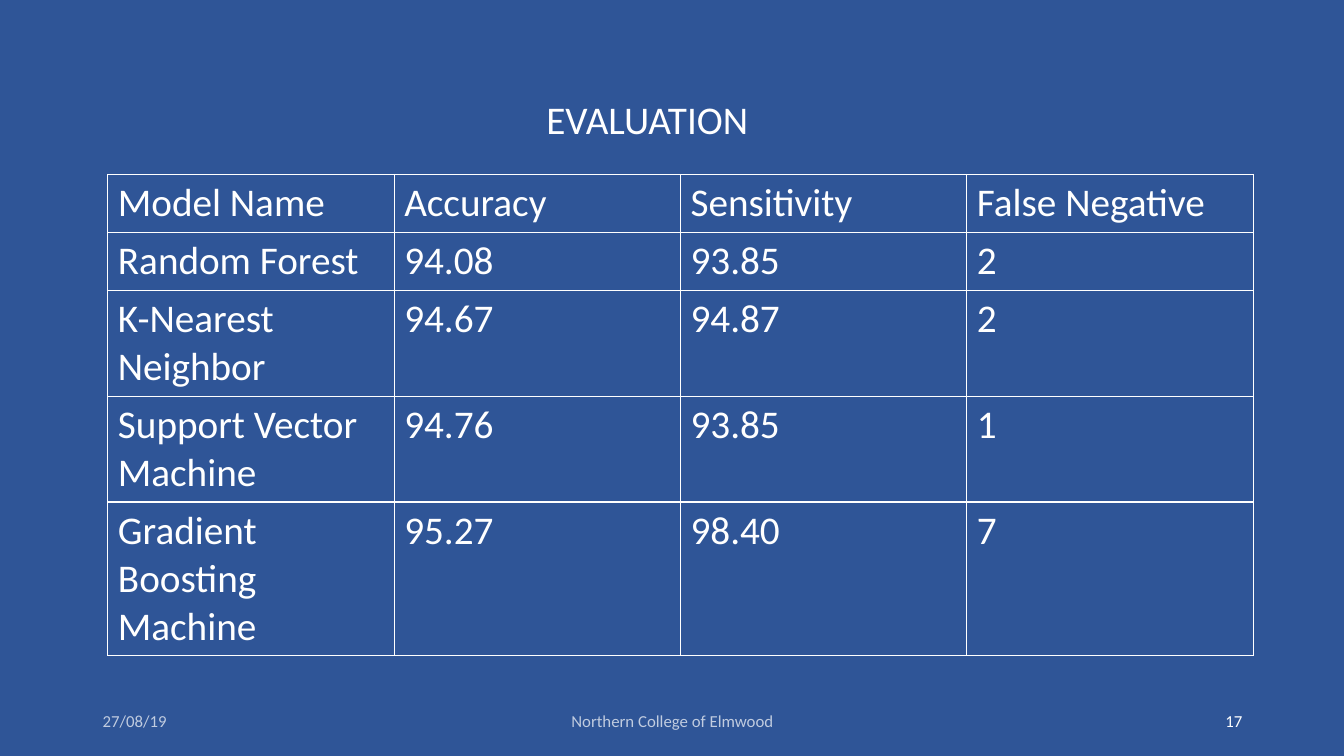
from lxml import etree
from pptx import Presentation
from pptx import util as u
from pptx.dml.color import RGBColor
from pptx.enum import text
from pptx.oxml import ns

WIDTH, HEIGHT = 13.33, 7.5
BLUE, WHITE = "2F5597", "FFFFFF"
FOOTER_TOP, FOOTER_HEIGHT = 6.95, 0.4
COLUMN_WIDTH = 2.84
LINE_HEIGHT, CELL_PADDING = 0.475, 0.1

MODELS = [
    (1, ("Model Name", "Accuracy", "Sensitivity", "False Negative")),
    (1, ("Random Forest", "94.08", "93.85", "2")),
    (2, ("K-Nearest Neighbor", "94.67", "94.87", "2")),
    (2, ("Support Vector Machine", "94.76", "93.85", "1")),
    (3, ("Gradient Boosting Machine", "95.27", "98.40", "7")),
]


def paint(color_format, color):
    color_format.rgb = RGBColor.from_string(color)


def style(paragraph, size, opacity=100):
    font = paragraph.font
    font.name, font.size = "Calibri", u.Pt(size)
    font.fill.solid()
    paint(font.fill.fore_color, WHITE)
    if opacity < 100:
        tint = font._element.find(".//" + ns.qn("a:srgbClr"))
        etree.SubElement(tint, ns.qn("a:alpha"), val=str(opacity * 1000))


def add_label(slide, words, left, top, width, height, size,
              align=text.PP_ALIGN.LEFT, anchor=text.MSO_ANCHOR.MIDDLE,
              opacity=100, wrap=True):
    label = slide.shapes.add_textbox(*map(u.Inches, (left, top, width, height)))
    frame = label.text_frame
    frame.word_wrap = wrap
    frame.vertical_anchor = anchor
    frame.text = words
    frame.paragraphs[0].alignment = align
    style(frame.paragraphs[0], size, opacity)


def add_borders(cell):
    properties = cell._tc.get_or_add_tcPr()
    for side in "LRTB":
        border = etree.SubElement(properties, ns.qn("a:ln" + side), w=str(u.Pt(1)))
        fill = etree.SubElement(border, ns.qn("a:solidFill"))
        etree.SubElement(fill, ns.qn("a:srgbClr"), val=WHITE)


def add_results(slide, left, top):
    heights = [CELL_PADDING + LINE_HEIGHT * lines for lines, _ in MODELS]
    columns = len(MODELS[0][1])
    results = slide.shapes.add_table(
        len(MODELS), columns, u.Inches(left), u.Inches(top),
        u.Inches(COLUMN_WIDTH * columns), u.Inches(sum(heights))).table
    results.first_row = results.horz_banding = False
    for column in results.columns:
        column.width = u.Inches(COLUMN_WIDTH)
    for row, height, (_, values) in zip(results.rows, heights, MODELS):
        row.height = u.Inches(height)
        for cell, value in zip(row.cells, values):
            cell.text = value
            style(cell.text_frame.paragraphs[0], 28)
            add_borders(cell)
            cell.fill.background()


def add_footer(slide):
    align = text.PP_ALIGN
    for words, left, width, side, opacity in (
            ("27/08/19", 0.92, 3, align.LEFT, 70),
            ("Northern College of Elmwood", 4.42, 4.5, align.CENTER, 70),
            ("17", 9.42, 3, align.RIGHT, 100)):
        add_label(slide, words, left, FOOTER_TOP, width, FOOTER_HEIGHT, 12,
                  align=side, opacity=opacity)


def main():
    deck = Presentation()
    deck.slide_width, deck.slide_height = u.Inches(WIDTH), u.Inches(HEIGHT)
    slide = deck.slides.add_slide(deck.slide_layouts[6])
    slide.background.fill.solid()
    paint(slide.background.fill.fore_color, BLUE)
    add_footer(slide)
    add_results(slide, 1.07, 1.73)
    add_label(slide, "EVALUATION", 5.32, 0.9, 2.31, 0.57, 28,
              anchor=text.MSO_ANCHOR.TOP, wrap=False)
    deck.save("out.pptx")


if __name__ == "__main__":
    main()
